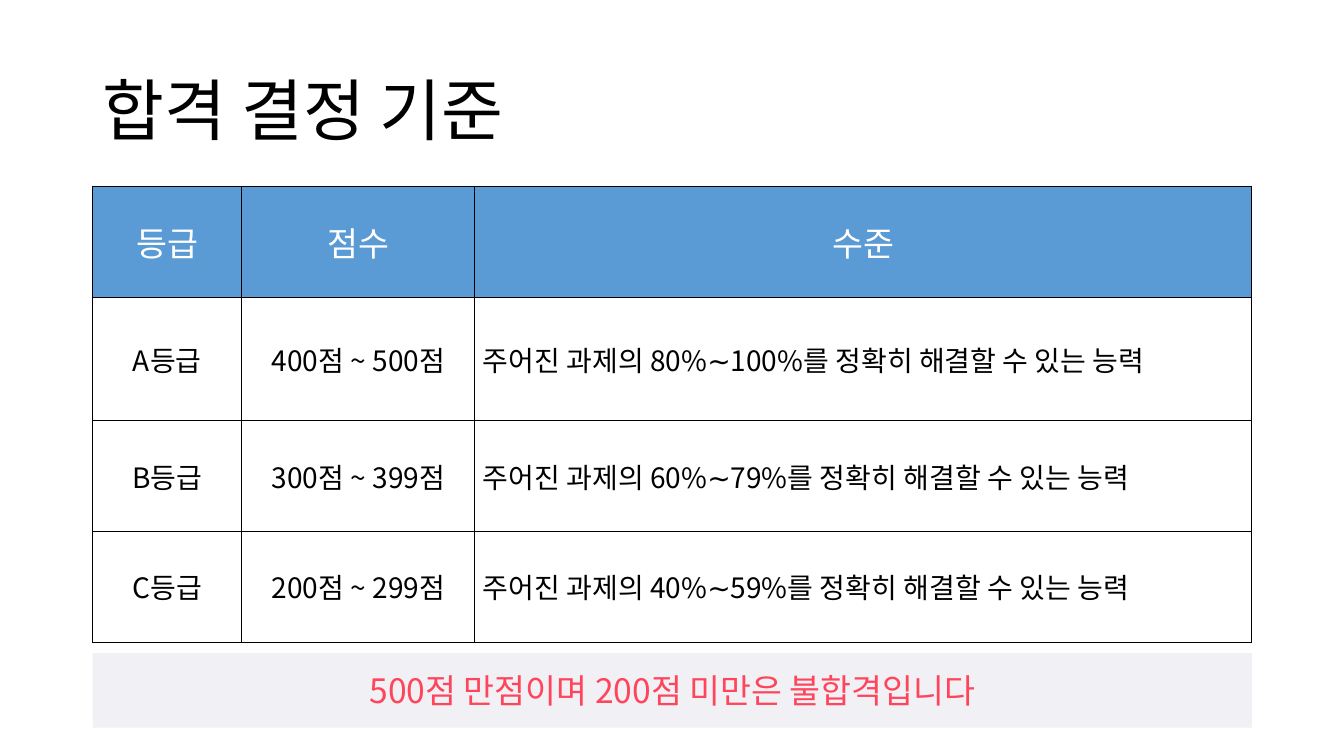
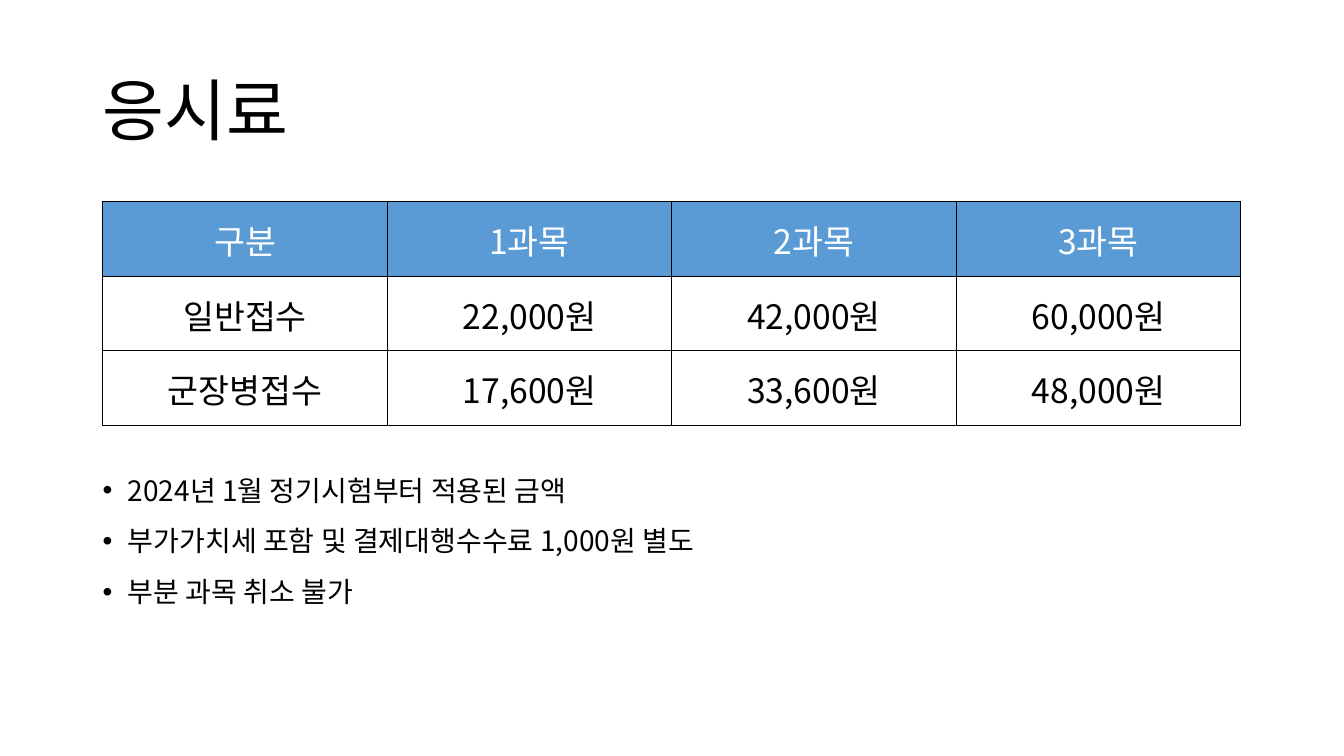
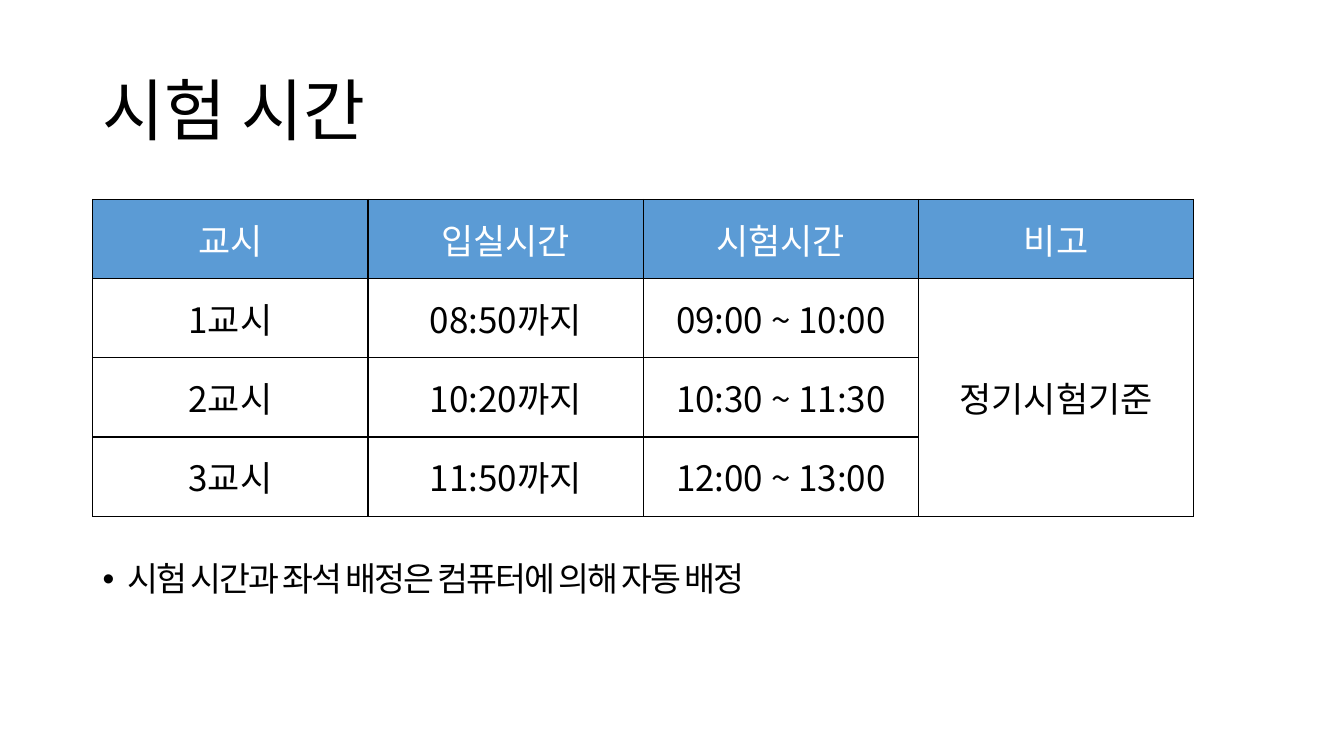
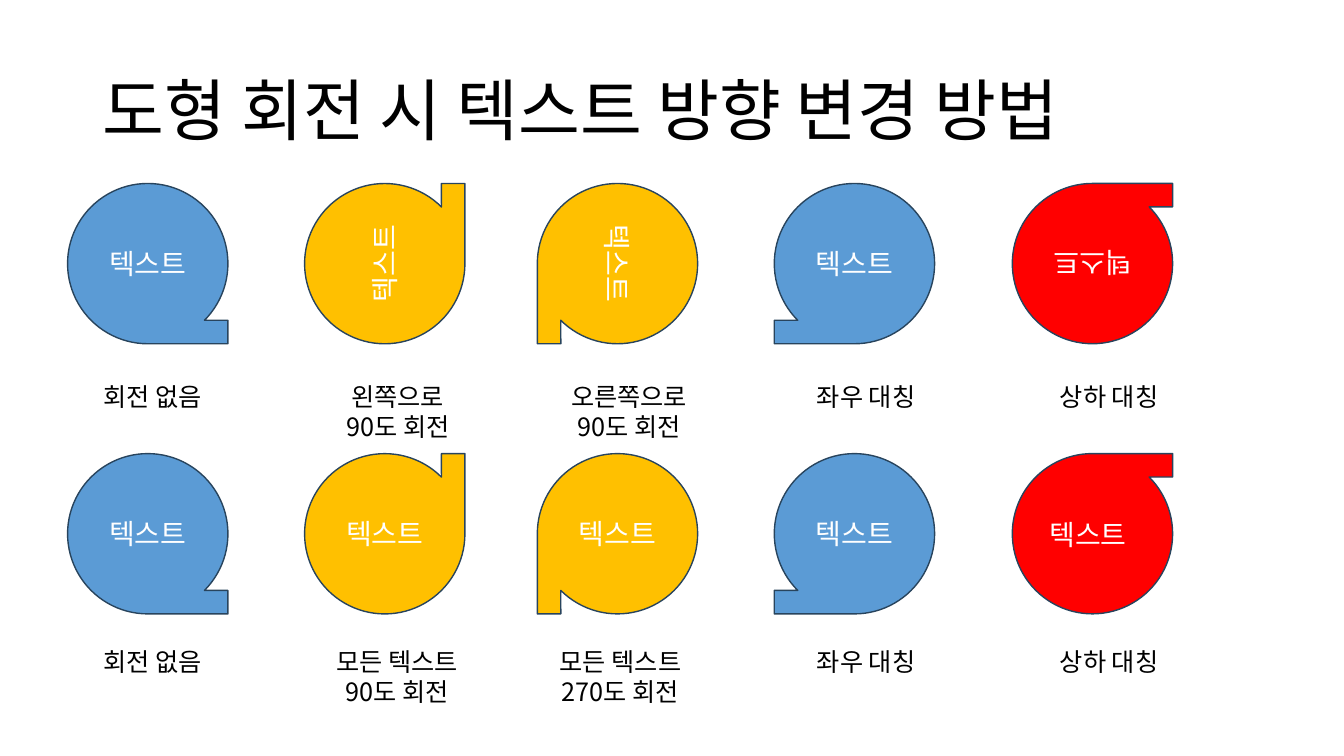
from lxml.etree import SubElement
from pptx import Presentation
from pptx.dml.color import RGBColor
from pptx.enum.shapes import MSO_SHAPE as Preset
from pptx.enum.text import MSO_ANCHOR as Anchor, MSO_AUTO_SIZE as AutoSize, PP_ALIGN as Align
from pptx.oxml import parse_xml
from pptx.oxml.ns import nsdecls, qn
from pptx.util import Inches, Pt

# Shared style; places and sizes are percentages of the slide
FONT = "Noto Sans CJK KR"
BLACK, WHITE, BLUE = "000000", "FFFFFF", "5B9BD5"
GOLD, RED, OUTLINE = "FFC000", "FF0000", "28445D"
BANNER_FILL, BANNER_TEXT = "F1F1F5", "FF455C"
MARGIN, CONTENT_WIDTH = 6.9, 86.25


def color(value):
    return RGBColor.from_string(value)


class Deck:
    def __init__(self):
        self.presentation = Presentation()
        self.presentation.slide_width = Inches(13.33)
        self.presentation.slide_height = Inches(7.5)
        self.slide = None

    def x(self, percent):
        return round(self.presentation.slide_width * percent / 100)

    def y(self, percent):
        return round(self.presentation.slide_height * percent / 100)

    def box(self, left, top, width, height):
        return self.x(left), self.y(top), self.x(width), self.y(height)

    def set_text(self, text_frame, text, size, text_color, align=Align.CENTER, spacing=None):
        text_frame.text = text
        for paragraph in text_frame.paragraphs:
            paragraph.alignment = align
            if spacing:
                paragraph.line_spacing = spacing
            for run in paragraph.runs:
                run.font.size = Pt(size)
                run.font.name = FONT
                run.font.color.rgb = color(text_color)
                SubElement(run.font._element, qn("a:ea"), typeface=FONT)

    def new_slide(self, title):
        self.slide = self.presentation.slides.add_slide(self.presentation.slide_layouts[6])
        shape = self.slide.shapes.add_textbox(*self.box(MARGIN, 5.33, CONTENT_WIDTH, 19.33))
        shape.text_frame.word_wrap = True
        shape.text_frame.vertical_anchor = Anchor.MIDDLE
        self.set_text(shape.text_frame, title, 48, BLACK, Align.LEFT, 0.9)

    def table(self, left, top, columns, heights, rows, header_size, body_size, inset,
              left_aligned=()):
        frame = self.slide.shapes.add_table(
            len(rows), len(columns), *self.box(left, top, sum(columns), sum(heights)))
        table = frame.table
        table.horz_banding = False
        for column, width in zip(table.columns, columns):
            column.width = self.x(width)
        for row, height in zip(table.rows, heights):
            row.height = self.y(height)
        for row_index, row in enumerate(rows):
            header = row_index == 0
            for column_index, text in enumerate(row):
                cell = table.cell(row_index, column_index)
                cell.vertical_anchor = Anchor.MIDDLE
                cell.margin_left = cell.margin_right = Inches(inset)
                cell.margin_top = cell.margin_bottom = Inches(inset)
                cell.fill.solid()
                cell.fill.fore_color.rgb = color(BLUE if header else WHITE)
                self.border(cell)
                align = Align.LEFT if column_index in left_aligned and not header else Align.CENTER
                self.set_text(cell.text_frame, text, header_size if header else body_size,
                              WHITE if header else BLACK, align)
        return table

    def border(self, cell):
        properties = cell._tc.get_or_add_tcPr()
        for index, side in enumerate("LRTB"):
            properties.insert(index, parse_xml(
                f'<a:ln{side} {nsdecls("a")} w="{Pt(1)}"><a:solidFill>'
                f'<a:srgbClr val="{BLACK}"/></a:solidFill></a:ln{side}>'))

    def bullets(self, top, height, lines, size, tracking=0):
        shape = self.slide.shapes.add_textbox(*self.box(MARGIN, top, CONTENT_WIDTH, height))
        shape.text_frame.word_wrap = True
        self.set_text(shape.text_frame, "\n".join(lines), size, BLACK, Align.LEFT,
                      Pt(size * 1.32))
        for index, paragraph in enumerate(shape.text_frame.paragraphs):
            if index:
                paragraph.space_before = Pt(10)
            properties = paragraph._p.get_or_add_pPr()
            properties.set("marL", str(Inches(0.25)))
            properties.set("indent", str(-Inches(0.25)))
            SubElement(properties, qn("a:buFont"), typeface="Arial")
            SubElement(properties, qn("a:buChar"), char="•")
            if tracking:
                for run in paragraph.runs:
                    run.font._element.set("spc", str(round(tracking * 100)))

    def shape(self, preset, place, fill, text, size, text_color, line=None):
        shape = self.slide.shapes.add_shape(preset, *self.box(*place))
        shape.shadow.inherit = False
        shape.fill.solid()
        shape.fill.fore_color.rgb = color(fill)
        if line:
            shape.line.color.rgb = color(line)
            shape.line.width = Pt(1)
        else:
            shape.line.fill.background()
        shape.text_frame.vertical_anchor = Anchor.MIDDLE
        if text:
            self.set_text(shape.text_frame, text, size, text_color)
        return shape

    def tape(self, left, top, fill, text, rotation=0, flip=None, direction=None):
        shape = self.shape(Preset.FLOWCHART_SEQUENTIAL_ACCESS_STORAGE,
                           (left, top, 11.93, 21.2), fill, text, 20, WHITE, OUTLINE)
        shape.rotation = rotation
        if flip:
            shape._element.spPr.find(qn("a:xfrm")).set(flip, "1")
        if direction:
            shape.text_frame._txBody.find(qn("a:bodyPr")).set("vert", direction)

    def caption(self, center, top, text, size=18, text_color=BLACK):
        width, height = 11, 5.33 + 4.14 * text.count("\n")
        shape = self.slide.shapes.add_textbox(*self.box(center - width / 2, top, width, height))
        shape.text_frame.word_wrap = False
        shape.text_frame.auto_size = AutoSize.SHAPE_TO_FIT_TEXT
        self.set_text(shape.text_frame, text, size, text_color, spacing=Pt(size * 1.2))


def main():
    deck = Deck()

    # Passing grades
    deck.new_slide("합격 결정 기준")
    grades = [("A", "400점 ~ 500점", "80%∼100%"),
              ("B", "300점 ~ 399점", "60%∼79%"),
              ("C", "200점 ~ 299점", "40%∼59%")]
    rows = [("등급", "점수", "수준")] + [
        (f"{grade}등급", score, f"주어진 과제의 {share}를 정확히 해결할 수 있는 능력")
        for grade, score, share in grades]
    deck.table(MARGIN, 24.67, [11.1, 17.33, 57.82], [14.67, 16.27, 14.67, 14.67],
               rows, 24, 20, 0.08, left_aligned=(2,))
    banner = deck.shape(Preset.RECTANGLE, (MARGIN, 86.4, CONTENT_WIDTH, 9.87), BANNER_FILL,
                        "500점 만점이며 200점 미만은 불합격입니다", 24, BANNER_TEXT)
    frame = banner.text_frame
    frame.margin_left = frame.margin_right = frame.margin_top = frame.margin_bottom = 0

    # Fees
    deck.new_slide("응시료")
    deck.bullets(61.47, 28.53, ["2024년 1월 정기시험부터 적용된 금액",
                                "부가가치세 포함 및 결제대행수수료 1,000원 별도",
                                "부분 과목 취소 불가"], 20)
    deck.table(7.65, 26.67, [21.17] * 4, [9.87] * 3,
               [("구분", "1과목", "2과목", "3과목"),
                ("일반접수", "22,000원", "42,000원", "60,000원"),
                ("군장병접수", "17,600원", "33,600원", "48,000원")], 24, 24, 0.14)

    # Timetable
    deck.new_slide("시험 시간")
    deck.bullets(72.67, 17.47, ["시험 시간과 좌석 배정은 컴퓨터에 의해 자동 배정"], 24, tracking=-1.5)
    timetable = deck.table(MARGIN, 26.4, [20.48] * 4, [10.47] * 4,
                           [("교시", "입실시간", "시험시간", "비고"),
                            ("1교시", "08:50까지", "09:00 ~ 10:00", "정기시험기준"),
                            ("2교시", "10:20까지", "10:30 ~ 11:30", ""),
                            ("3교시", "11:50까지", "12:00 ~ 13:00", "")], 25, 25, 0.14)
    timetable.cell(1, 3).merge(timetable.cell(3, 3))

    # Text direction: plain turns above, corrected text below
    deck.new_slide("도형 회전 시 텍스트 방향 변경 방법")
    label = "텍스트"
    # left, fill, rotation, flip, corrected direction, corrected text
    tapes = [(5.03, BLUE, 0, None, None, label),
             (22.66, GOLD, 270, None, "vert", label),
             (39.98, GOLD, 90, None, "vert270", label),
             (57.61, BLUE, 0, "flipH", None, label),
             (75.32, RED, 0, "flipV", None, "")]
    for left, fill, rotation, flip, direction, corrected in tapes:
        deck.tape(left, 24.27, fill, label, rotation, flip)
        deck.tape(left, 60, fill, corrected, rotation, flip, direction)
    deck.caption(80.95, 67.73, label, 20, WHITE)

    # center above, text above, center below, text below
    captions = [(11.33, "회전 없음", 11.33, "회전 없음"),
                (29.6, "왼쪽으로\n90도 회전", 29.56, "모든 텍스트\n90도 회전"),
                (46.81, "오른쪽으로\n90도 회전", 46.17, "모든 텍스트\n270도 회전"),
                (64.44, "좌우 대칭", 64.44, "좌우 대칭"),
                (82.52, "상하 대칭", 82.52, "상하 대칭")]
    for center_above, above, center_below, below in captions:
        deck.caption(center_above, 49.73, above)
        deck.caption(center_below, 84.8, below)

    deck.presentation.save("out.pptx")


if __name__ == "__main__":
    main()
